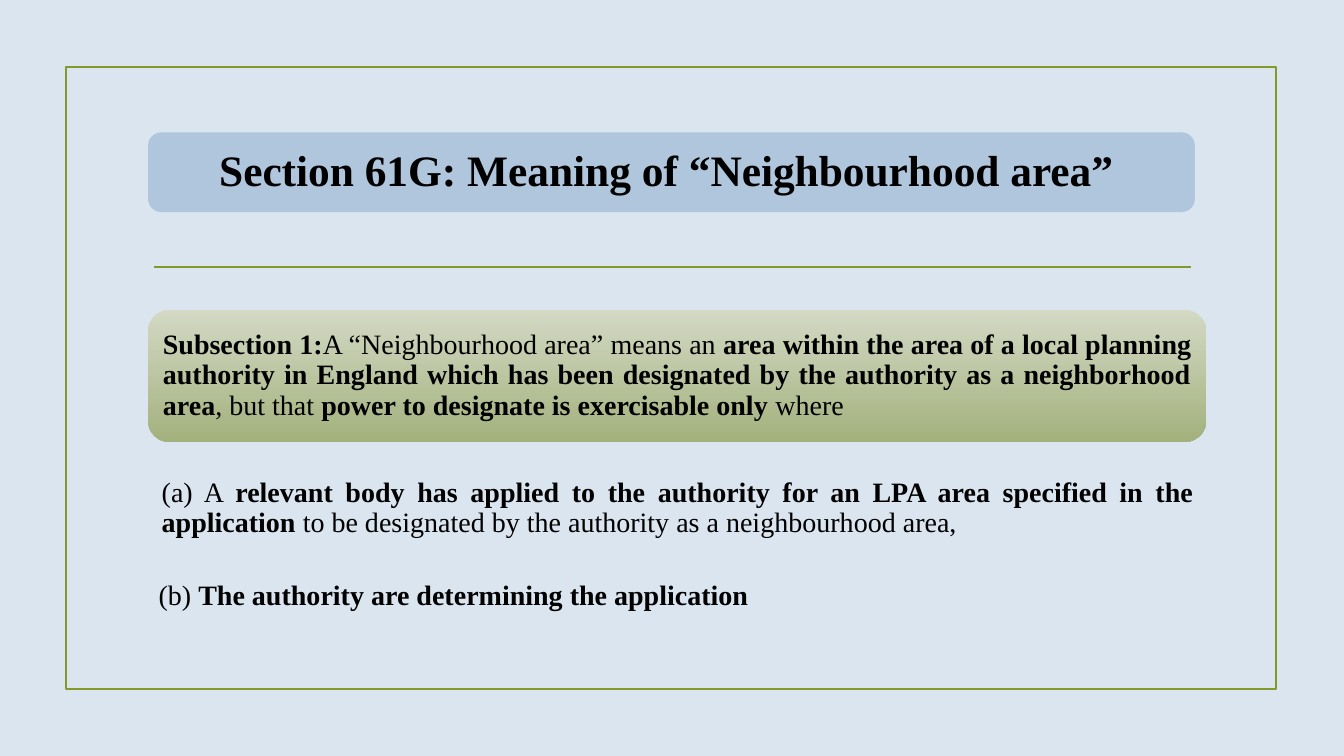
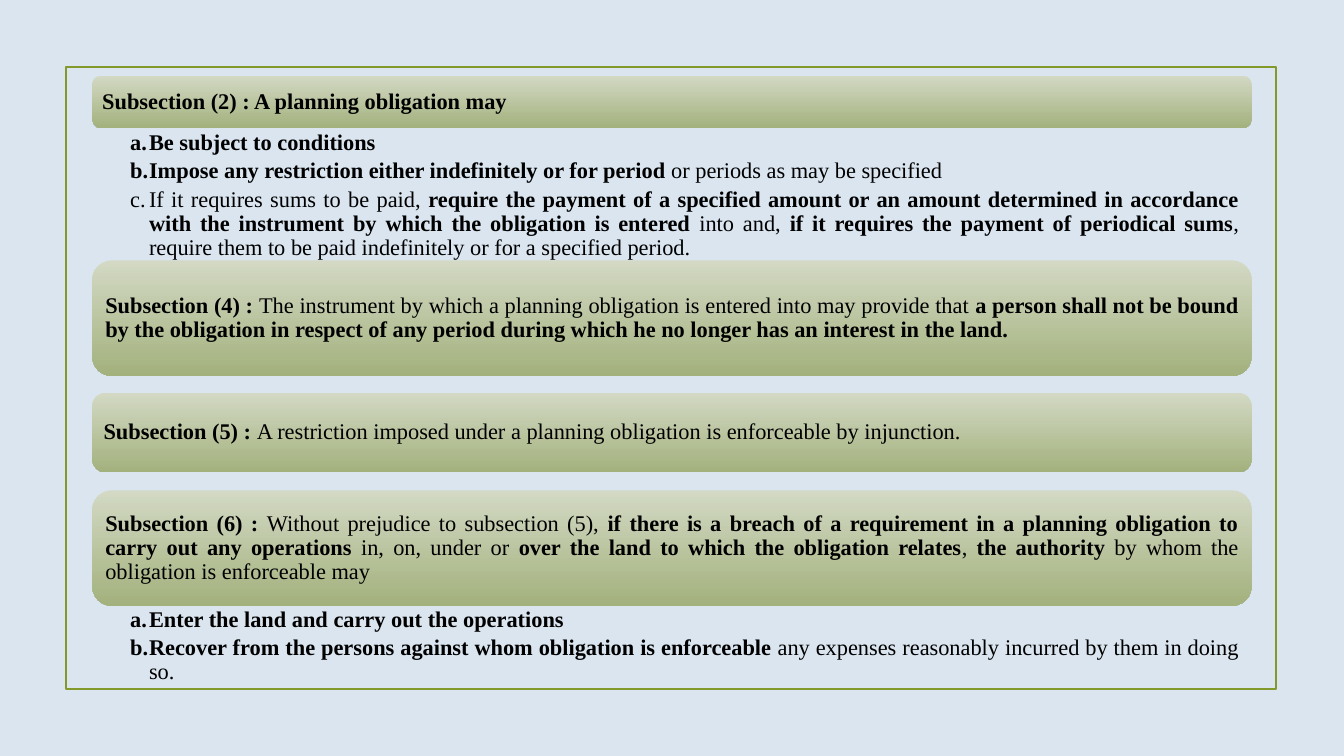
from dataclasses import dataclass

from lxml import etree
from pptx import Presentation
from pptx.dml.color import RGBColor
from pptx.enum.shapes import MSO_CONNECTOR, MSO_SHAPE
from pptx.enum.text import MSO_ANCHOR, PP_ALIGN
from pptx.oxml.ns import qn
from pptx.shapes.autoshape import Shape
from pptx.slide import Slide
from pptx.text.text import TextFrame
from pptx.util import Emu, Pt

RECTANGLE = MSO_SHAPE.RECTANGLE
ROUNDED = MSO_SHAPE.ROUNDED_RECTANGLE
STRAIGHT = MSO_CONNECTOR.STRAIGHT
CENTER, JUSTIFY = PP_ALIGN.CENTER, PP_ALIGN.JUSTIFY
TOP, MIDDLE = MSO_ANCHOR.TOP, MSO_ANCHOR.MIDDLE

EMU_PER_PX = 9525
FONT = "Times New Roman"
BLANK_LAYOUT = 6
LIST_INDENT = 18
COLORS = {
    "background": "DAE5EF",
    "border": "83992A",
    "title": "AFC6DD",
    "card_top": "D3D9C4",
    "card_bottom": "A3B17D",
    "text": "000000",
}


@dataclass(frozen=True)
class Style:
    """Look of a block; insets run left, top, right, bottom."""
    size: int
    insets: tuple[int, int, int, int]
    fills: tuple[str, ...] = ()
    alignment: PP_ALIGN = JUSTIFY
    anchor: MSO_ANCHOR = MIDDLE
    bold: bool = False
    lettered: bool = False


@dataclass(frozen=True)
class Block:
    """Text block; asterisks enclose bold passages."""
    style: Style
    left: int
    top: int
    width: int
    height: int
    paragraphs: tuple[str, ...]


CARD_FILLS = ("card_top", "card_bottom")
TITLE = Style(31, (12, 12, 12, 12), ("title",), CENTER)
LARGE_CARD = Style(20, (8, 8, 8, 8), CARD_FILLS)
CLAUSE = Style(20, (8, 8, 8, 8))
CARD = Style(16, (7, 7, 7, 7), CARD_FILLS)
LETTERED = Style(16, (36, 2, 12, 2), anchor=TOP, lettered=True)

AREA_BLOCKS = (
    Block(LARGE_CARD, 141, 295, 1008, 126, (
        "*Subsection 1:*A “Neighbourhood area” means an *area within the area of a local "
        "planning authority in England which has been designated by the authority as a "
        "neighborhood area*, but that *power to designate is exercisable only* where",)),
    Block(CLAUSE, 146, 443, 999, 82, (
        "(a) A *relevant body has applied to the authority for an LPA area specified in the "
        "application *to be designated by the authority as a neighbourhood area, ",)),
    Block(CLAUSE, 143, 551, 1004, 35, (
        "(b) *The authority are determining the application*",)),
    Block(TITLE, 141, 126, 997, 76, (
        "*Section 61G: Meaning of “Neighbourhood area” *",)),
)

# Top, height, style and paragraphs of each full-width row
OBLIGATION_ROWS = (
    (72, 50, CARD, ("*Subsection (2) : A planning obligation may*",)),
    (123, 125, LETTERED, (
        "*Be subject to conditions*",
        "*Impose any restriction either indefinitely or for period *or periods as may be "
        "specified",
        "If it requires sums to be paid, *require the payment of a specified amount or an "
        "amount determined in accordance with the instrument by which the obligation is "
        "entered *into and, *if it requires the payment of periodical sums*, require them "
        "to be paid indefinitely or for a specified period. ")),
    (248, 110, CARD, (
        "*Subsection (4) : *The instrument by which a planning obligation is entered into "
        "may provide that *a person shall not be bound by the obligation in respect of any "
        "period during which he no longer has an interest in the land.*",)),
    (374, 76, CARD, (
        "*Subsection (5) : *A restriction imposed under a planning obligation is "
        "enforceable by injunction. ",)),
    (467, 110, CARD, (
        "*Subsection (6) : *Without prejudice to subsection (5), *if there is a breach of a "
        "requirement in a planning obligation to carry out any operations* in, on, under or "
        "*over the land to which the obligation relates*, *the authority* by whom the "
        "obligation is enforceable may",)),
    (577, 97, LETTERED, (
        "*Enter the land and carry out the operations*",
        "*Recover from the persons against whom obligation is enforceable* any expenses "
        "reasonably incurred by them in doing so.")),
)
OBLIGATION_BLOCKS = tuple(
    Block(style, 88, top, 1104, height, paragraphs)
    for top, height, style, paragraphs in OBLIGATION_ROWS
)


def px(length: int) -> Emu:
    return Emu(length * EMU_PER_PX)


def color(name: str) -> RGBColor:
    return RGBColor.from_string(COLORS[name])


def fill_shape(shape: Shape, fills: tuple[str, ...]) -> None:
    """One name gives a solid fill, two a gradient from top to bottom."""
    if len(fills) == 1:
        shape.fill.solid()
        shape.fill.fore_color.rgb = color(fills[0])
        return
    shape.fill.gradient()
    shape.fill.gradient_angle = 270
    for stop, name in zip(shape.fill.gradient_stops, fills):
        stop.color.rgb = color(name)


def write_text(frame: TextFrame, block: Block) -> None:
    style = block.style
    frame.word_wrap = True
    frame.vertical_anchor = style.anchor
    (frame.margin_left, frame.margin_top,
     frame.margin_right, frame.margin_bottom) = map(px, style.insets)
    for index, text in enumerate(block.paragraphs):
        paragraph = frame.paragraphs[0] if index == 0 else frame.add_paragraph()
        paragraph.alignment = style.alignment
        paragraph.line_spacing = 0.9
        if style.lettered:
            paragraph.space_after = Pt(3)
            properties = paragraph._p.get_or_add_pPr()
            properties.set("marL", str(px(LIST_INDENT)))
            properties.set("indent", str(-px(LIST_INDENT)))
            numbering = etree.SubElement(properties, qn("a:buAutoNum"))
            numbering.set("type", "alphaLcPeriod")
        for position, passage in enumerate(text.split("*")):
            if not passage:
                continue
            run = paragraph.add_run()
            run.text = passage
            run.font.name = FONT
            run.font.size = Pt(style.size)
            run.font.bold = position % 2 == 1
            run.font.color.rgb = color("text")


def add_block(slide: Slide, block: Block) -> None:
    bounds = [px(n) for n in (block.left, block.top, block.width, block.height)]
    if block.style.fills:
        shape = slide.shapes.add_shape(ROUNDED, *bounds)
        shape.shadow.inherit = False
        shape.line.fill.background()
        fill_shape(shape, block.style.fills)
    else:
        shape = slide.shapes.add_textbox(*bounds)
    write_text(shape.text_frame, block)


def add_divider(slide: Slide) -> None:
    line = slide.shapes.add_connector(STRAIGHT, px(147), px(254), px(1134), px(254))
    line.line.color.rgb = color("border")
    line.line.width = Pt(1.25)
    etree.SubElement(line._element.spPr, qn("a:effectLst"))


def add_framed_slide(presentation: Presentation) -> Slide:
    slide = presentation.slides.add_slide(presentation.slide_layouts[BLANK_LAYOUT])
    slide.background.fill.solid()
    slide.background.fill.fore_color.rgb = color("background")
    border = slide.shapes.add_shape(RECTANGLE, px(63), px(64), px(1152), px(592))
    border.shadow.inherit = False
    border.fill.background()
    border.line.color.rgb = color("border")
    border.line.width = Pt(1.25)
    return slide


def main() -> None:
    presentation = Presentation()
    presentation.slide_width, presentation.slide_height = px(1280), px(720)

    # Neighbourhood area
    slide = add_framed_slide(presentation)
    add_divider(slide)
    for block in AREA_BLOCKS:
        add_block(slide, block)

    # Planning obligations
    slide = add_framed_slide(presentation)
    for block in OBLIGATION_BLOCKS:
        add_block(slide, block)

    presentation.save("out.pptx")


if __name__ == "__main__":
    main()
